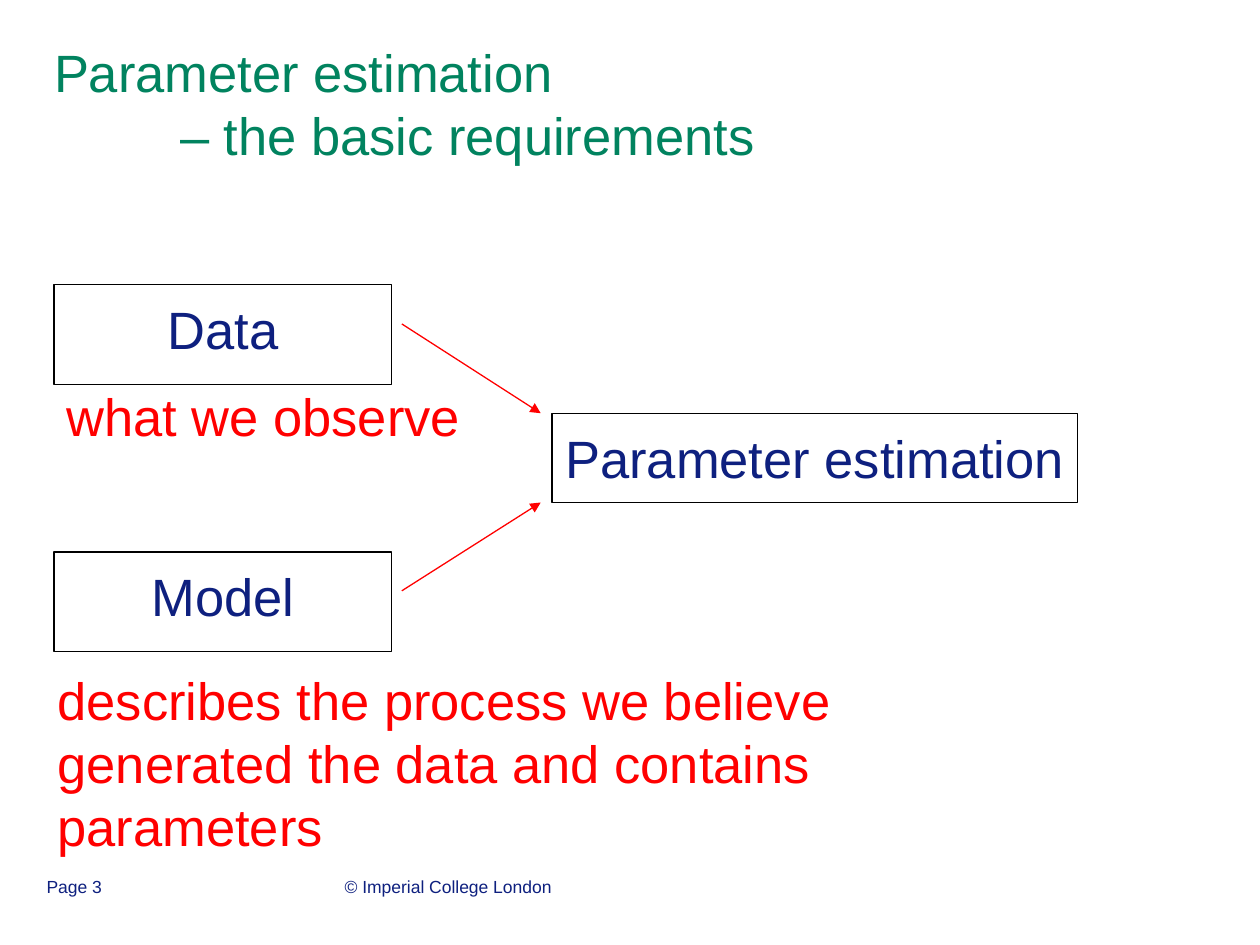
from lxml import etree
from pptx import Presentation
from pptx.dml.color import RGBColor
from pptx.enum import shapes, text
from pptx.oxml import ns
from pptx.util import Cm, Pt

NAVY, GREEN, RED, BLACK = "0E207F", "01835F", "FF0000", "000000"


def color(value):
    return RGBColor.from_string(value)


def write(sp, words, size, ink, inset=0.13, align=text.PP_ALIGN.LEFT,
          anchor=text.MSO_ANCHOR.TOP, wrap=True):
    tf = sp.text_frame
    tf.word_wrap = wrap
    tf.vertical_anchor = anchor
    tf.margin_left = tf.margin_right = Cm(0.25)
    tf.margin_top = tf.margin_bottom = Cm(inset)
    p = tf.paragraphs[0]
    p.text = words
    p.alignment = align
    p.font.name = "Arial"
    p.font.size = Pt(size)
    p.font.color.rgb = color(ink)


prs = Presentation()
prs.slide_width, prs.slide_height = Cm(25.4), Cm(19.05)
s = prs.slides.add_slide(prs.slide_layouts[6])

# Footer
for words, x, w in [("© Imperial College London", 6.7, 8.05),
                    ("Page 3", 0.69, 5.92)]:
    write(s.shapes.add_textbox(Cm(x), Cm(17.53), Cm(w), Cm(1.32)),
          words, 10, NAVY)

# Title, with its second line set in by two tabs
sp = s.shapes.add_textbox(Cm(0.84), Cm(0.48), Cm(21.59), Cm(3.18))
write(sp, "Parameter estimation\v\t\t– the basic requirements", 30, GREEN,
      anchor=text.MSO_ANCHOR.MIDDLE)

# Framed boxes: two inputs and the result
for words, x, y, w, h, wrap in [
        ("Data", 1.09, 5.74, 6.81, 2.01, True),
        ("Model", 1.09, 11.13, 6.81, 2.01, True),
        ("Parameter estimation", 11.13, 8.33, 10.59, 1.8, False)]:
    sp = s.shapes.add_shape(shapes.MSO_SHAPE.RECTANGLE,
                            Cm(x), Cm(y), Cm(w), Cm(h))
    sp.shadow.inherit = False
    sp.fill.background()
    sp.line.color.rgb = color(BLACK)
    sp.line.width = Pt(0.75)
    write(sp, words, 30, NAVY, 0.25, text.PP_ALIGN.CENTER, wrap=wrap)

# Arrows from the inputs to the result
for y1, y2 in [(11.91, 10.13), (6.53, 8.33)]:
    cx = s.shapes.add_connector(shapes.MSO_CONNECTOR.STRAIGHT,
                                Cm(8.1), Cm(y1), Cm(10.9), Cm(y2))
    cx.line.color.rgb = color(RED)
    cx.line.width = Pt(0.75)
    etree.SubElement(cx.line._get_or_add_ln(), ns.qn("a:tailEnd"),
                     type="triangle")
    etree.SubElement(cx._element.spPr, ns.qn("a:effectLst"))

# Red explanations under the inputs
for words, x, y, w, h in [
        ("what we observe", 1.09, 7.62, 9.6, 1.91),
        ("describes the process we believe generated the data "
         "and contains parameters", 0.91, 13.34, 18.8, 3.61)]:
    write(s.shapes.add_textbox(Cm(x), Cm(y), Cm(w), Cm(h)), words, 30, RED)

prs.save("out.pptx")
